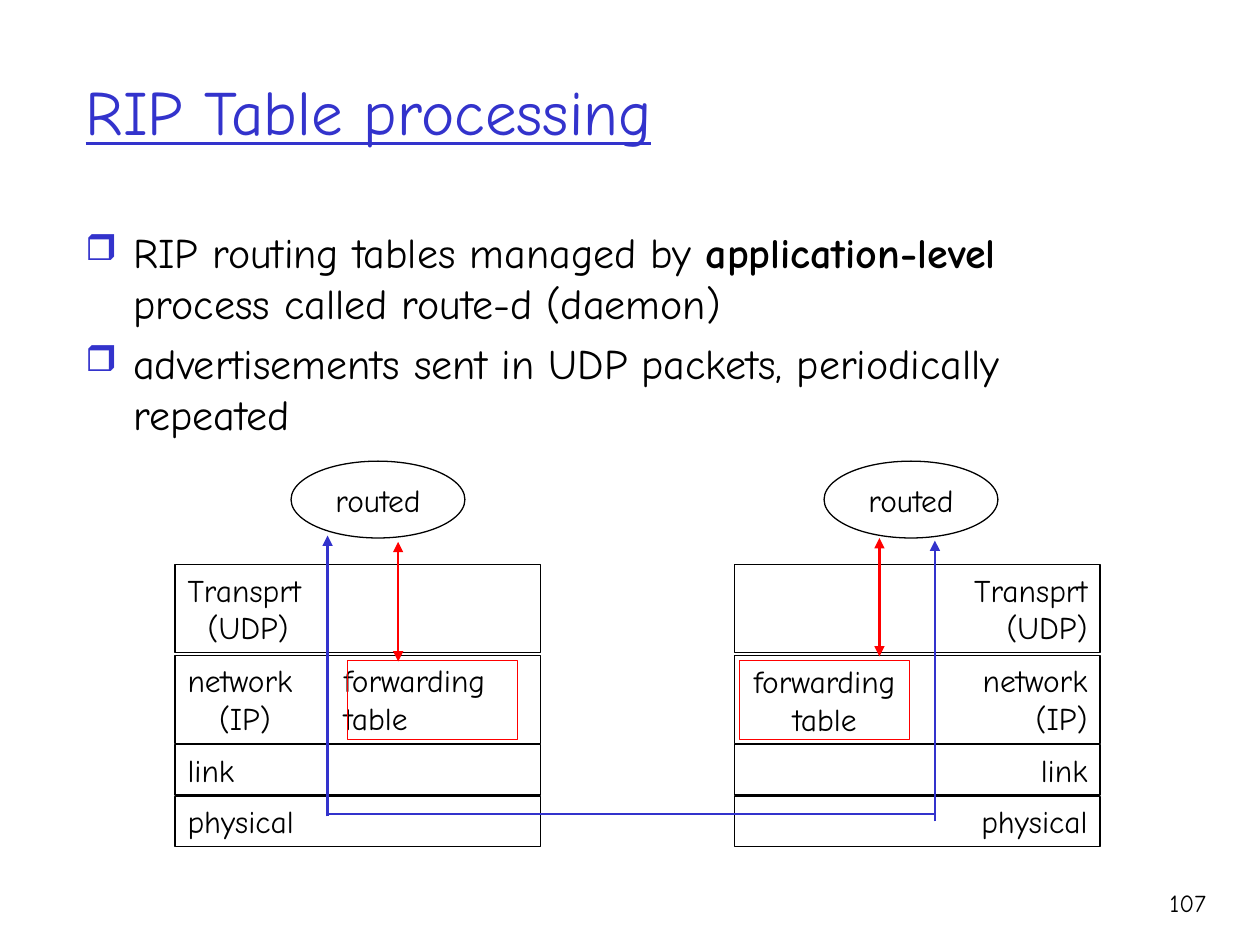
from dataclasses import dataclass

from lxml import etree
from pptx import Presentation
from pptx.dml.color import RGBColor
from pptx.enum.shapes import MSO_CONNECTOR as CONN, MSO_SHAPE as SHAPE
from pptx.enum.text import MSO_ANCHOR as ANCHOR, MSO_AUTO_SIZE as FIT, PP_ALIGN as ALIGN
from pptx.oxml.ns import qn
from pptx.util import Inches, Pt


@dataclass(frozen=True)
class Theme:
    font: str = "Comic Neue"
    blue: str = "3333CC"
    red: str = "FF0000"
    black: str = "000000"
    title: int = 36
    body: int = 24
    label: int = 18
    number: int = 14
    outline: float = 0.75
    arrow: float = 1.5


T = Theme()
LAYER_W = 2.9
LAYERS = [
    ("Transprt\n\t(UDP)", 4.48, 0.7),
    ("network\n\t(IP)", 5.2, 0.7),
    ("link", 5.91, 0.4),
    ("physical", 6.32, 0.4),
]
LEFT_TEXT = {
    "Transprt\n\t(UDP)": ("Transprt\n\t(UDP)", [0.16]),
    "network\n\t(IP)": ("network\tforwarding\n\t(IP)\ttable", [0.25, 1.24, 1.65]),
}
BULLETS = [
    [("RIP routing tables managed by ", False), ("application-level", True),
     (" process called route-d (daemon)", False)],
    [("advertisements sent in UDP packets, periodically repeated", False)],
]


def add_element(parent, tag, **attrs):
    return etree.SubElement(parent, qn(tag), attrs)


def set_tabs(p, stops):
    tabs = add_element(p._p.get_or_add_pPr(), "a:tabLst")
    for stop in stops:
        add_element(tabs, "a:tab", pos=str(Inches(stop)), algn="l")


def set_bullet(p):
    pPr = p._p.get_or_add_pPr()
    pPr.set("marL", str(Inches(0.38)))
    pPr.set("indent", str(Inches(-0.38)))
    add_element(add_element(pPr, "a:buClr"), "a:srgbClr", val=T.blue)
    add_element(pPr, "a:buSzPct", val="85000")
    add_element(pPr, "a:buChar", char="❒")


def write(p, text, size=T.label, color=T.black, bold=False, underline=False):
    r = p.add_run()
    r.text = text
    r.font.name = T.font
    r.font.size = Pt(size)
    r.font.bold = bold
    r.font.underline = underline
    r.font.color.rgb = RGBColor.from_string(color)


def fill_text(sp, text, align=ALIGN.LEFT, anchor=ANCHOR.TOP, wrap=True, tabs=(), **style):
    tf = sp.text_frame
    tf.auto_size = FIT.NONE
    tf.word_wrap = wrap
    tf.vertical_anchor = anchor
    for i, line in enumerate(text.split("\n")):
        p = tf.add_paragraph() if i else tf.paragraphs[0]
        if tabs:
            set_tabs(p, tabs)
        p.alignment = align
        write(p, line, **style)


def place(sp, x, y, w, h):
    sp.left, sp.top, sp.width, sp.height = map(Inches, (x, y, w, h))


def add_outline(slide, kind, x, y, w, h, color=T.black):
    sp = slide.shapes.add_shape(kind, *map(Inches, (x, y, w, h)))
    sp.shadow.inherit = False
    sp.fill.background()
    sp.line.color.rgb = RGBColor.from_string(color)
    sp.line.width = Pt(T.outline)
    return sp


def add_line(slide, start, end, color, head=False, tail=False):
    line = slide.shapes.add_connector(CONN.STRAIGHT, *map(Inches, start + end))
    line.line.color.rgb = RGBColor.from_string(color)
    line.line.width = Pt(T.arrow)
    ln = line.line._get_or_add_ln()
    for wanted, tag in ((head, "a:headEnd"), (tail, "a:tailEnd")):
        if wanted:
            add_element(ln, tag, type="triangle")
    add_element(line._element.spPr, "a:effectLst")


def add_title(slide):
    sp = slide.shapes.title
    place(sp, 0.58, 0.25, 8.5, 1.25)
    fill_text(sp, "RIP Table processing", anchor=ANCHOR.MIDDLE,
              size=T.title, color=T.blue, underline=True)


def add_bullets(slide):
    tf = slide.shapes.add_textbox(*map(Inches, (0.58, 1.75, 8.5, 1.8))).text_frame
    tf.word_wrap = True
    for i, parts in enumerate(BULLETS):
        p = tf.add_paragraph() if i else tf.paragraphs[0]
        set_bullet(p)
        if i:
            p.space_before = Pt(6)
        for text, bold in parts:
            write(p, text, size=T.body, bold=bold)


def add_stack(slide, x, mirrored=False):
    for text, y, h in LAYERS:
        sp = add_outline(slide, SHAPE.RECTANGLE, x, y, LAYER_W, h)
        if mirrored:
            fill_text(sp, text.replace("\t", ""), align=ALIGN.RIGHT)
        else:
            label, tabs = LEFT_TEXT.get(text, (text, ()))
            fill_text(sp, label, tabs=tabs)


def add_process(slide, x):
    sp = add_outline(slide, SHAPE.OVAL, x, 3.66, 1.38, 0.61)
    fill_text(sp, "routed", align=ALIGN.CENTER, anchor=ANCHOR.MIDDLE, wrap=False)


def add_forwarding_table(slide, x):
    return add_outline(slide, SHAPE.RECTANGLE, x, 5.24, 1.35, 0.63, T.red)


def main():
    prs = Presentation()
    prs.slide_width, prs.slide_height = Inches(10), Inches(7.5)
    slide = prs.slides.add_slide(prs.slide_layouts[5])
    add_title(slide)
    add_bullets(slide)

    add_stack(slide, 1.39)
    add_forwarding_table(slide, 2.76)
    add_process(slide, 2.31)

    add_stack(slide, 5.83, mirrored=True)
    table = add_forwarding_table(slide, 5.87)
    fill_text(table, "forwarding\ntable", align=ALIGN.CENTER,
              anchor=ANCHOR.MIDDLE, wrap=False)
    add_process(slide, 6.54)

    add_line(slide, (2.6, 6.48), (2.6, 4.25), T.blue, tail=True)
    add_line(slide, (7.42, 6.52), (7.42, 4.29), T.blue, tail=True)
    add_line(slide, (2.6, 6.46), (7.43, 6.46), T.blue)
    add_line(slide, (3.16, 4.3), (3.16, 5.25), T.red, head=True, tail=True)
    add_line(slide, (6.98, 4.27), (6.98, 5.21), T.red, head=True, tail=True)

    number = slide.shapes.add_textbox(*map(Inches, (8.93, 7, 0.74, 0.5)))
    fill_text(number, "107", align=ALIGN.RIGHT, size=T.number)
    prs.save("out.pptx")


if __name__ == "__main__":
    main()
